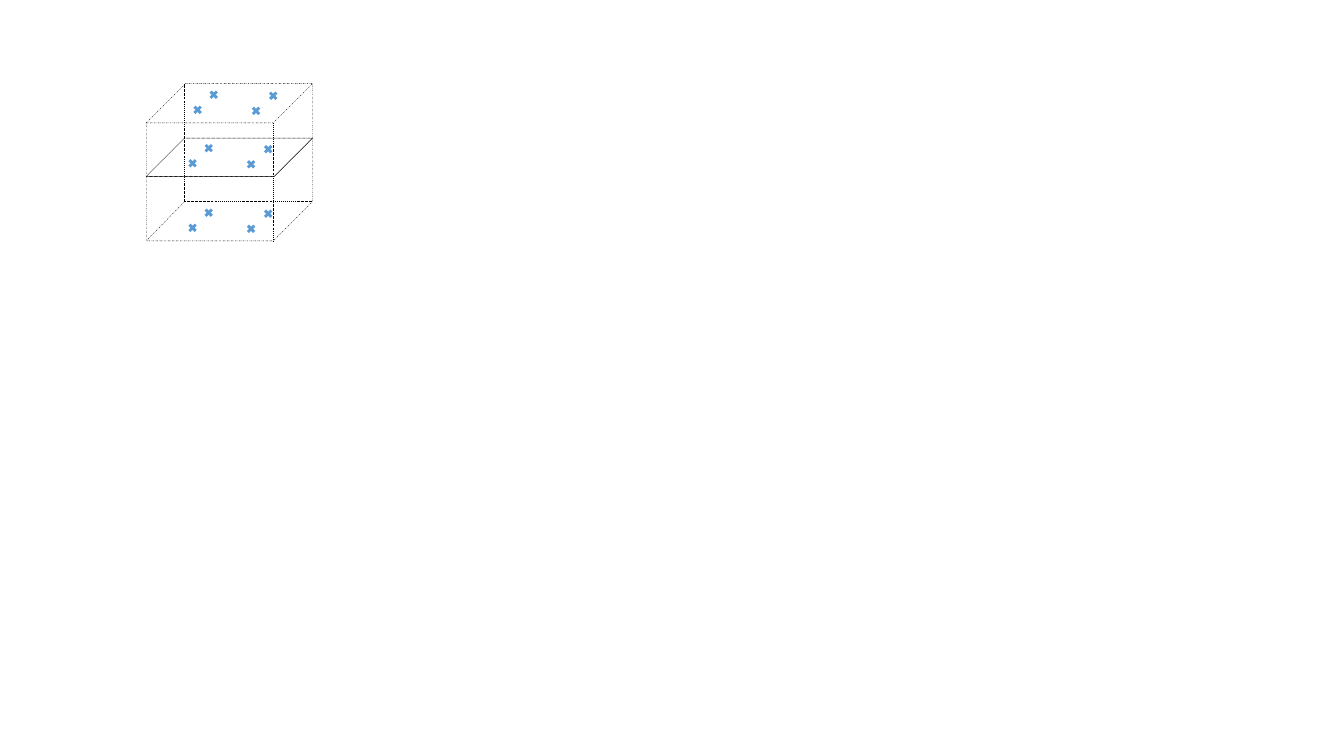
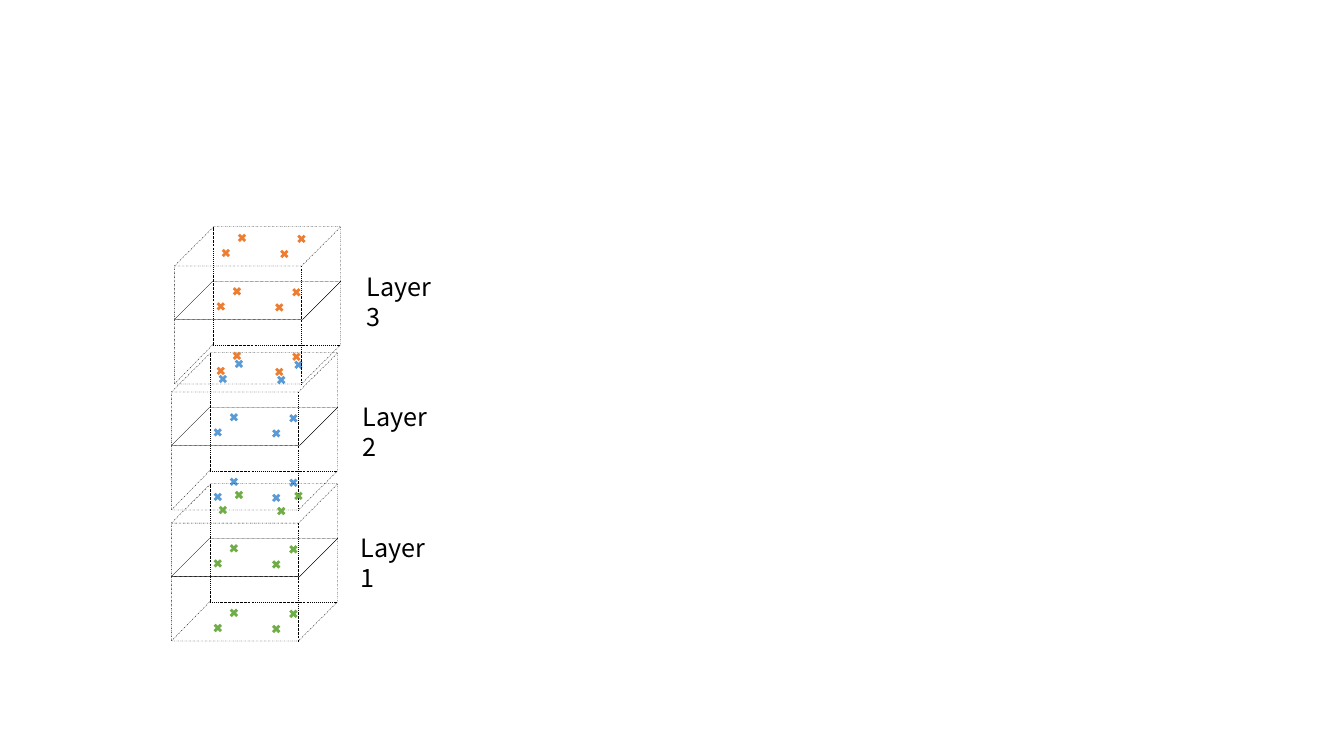
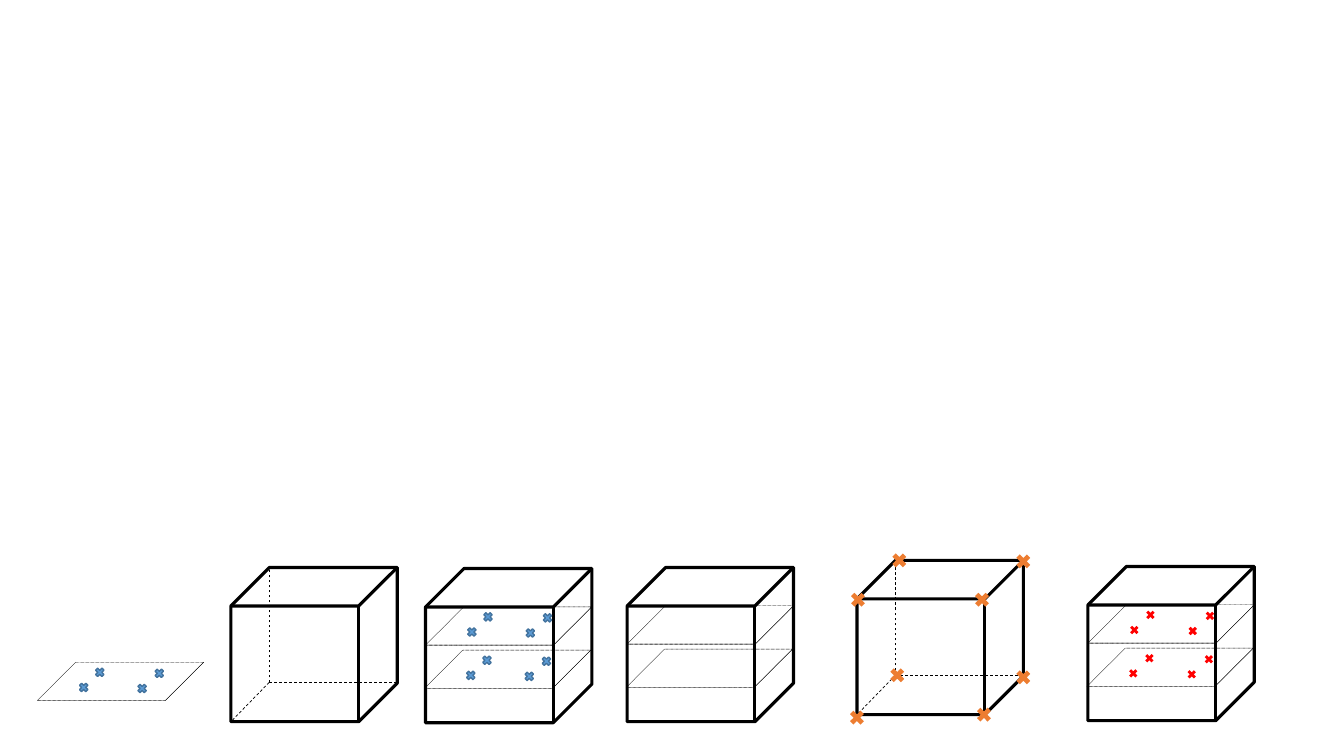
from dataclasses import dataclass

from lxml.etree import SubElement
from pptx import Presentation
from pptx.dml.color import RGBColor
from pptx.enum.dml import MSO_LINE
from pptx.enum.shapes import MSO_CONNECTOR, MSO_SHAPE
from pptx.oxml.ns import qn
from pptx.util import Emu, Pt

EMU_PER_PX = 9144


@dataclass(frozen=True)
class Stroke:
    """Colour, width in points and dash of a line."""
    color: str
    width: float
    dash: MSO_LINE = MSO_LINE.SOLID


@dataclass(frozen=True)
class Theme:
    """Colours, strokes and type shared by the slides."""
    blue: str = "5B9BD5"
    orange: str = "ED7D31"
    green: str = "70AD47"
    red: str = "FF0000"
    ink: str = "000000"
    font: str = "Noto Sans CJK KR"
    label_size: int = 18
    sheet: Stroke = Stroke("000000", 0.25, MSO_LINE.ROUND_DOT)
    layer: Stroke = Stroke("000000", 0.25, MSO_LINE.DASH_DOT)
    box: Stroke = Stroke("000000", 2.25)
    hidden: Stroke = Stroke("000000", 0.5, MSO_LINE.DASH)
    mark: Stroke = Stroke("43739E", 1)


THEME = Theme()
CUBE_W, LAYER_H, BOX_H, DEPTH = 165, 156, 153, 38
MARK, CORNER_MARK = 12, 20
SHEET_MARKS = [(40, 19), (56, 4), (98, 20), (115, 5)]
LAYER_LEVELS = [(0, 54), (5, 1), (0, 118)]
SHELVES = [(0, 38), (-1, 81)]
CORNERS = [(42, 0), (1, 39), (124, 39), (165, 1),
           (165, 116), (126, 153), (0, 156), (40, 114)]


def px(*lengths):
    """Turn pixel lengths into EMU."""
    return [Emu(n * EMU_PER_PX) for n in lengths]


def set_line(line, stroke):
    """Apply a stroke to a line, or hide the line when there is none."""
    if stroke is None:
        line.fill.background()
        return
    line.color.rgb = RGBColor.from_string(stroke.color)
    line.width = Pt(stroke.width)
    line.dash_style = stroke.dash


def add_preset(shapes, kind, box, fill=None, stroke=None):
    """Add a preset shape without shadow."""
    sp = shapes.add_shape(kind, *px(*box))
    sp.shadow.inherit = False
    if fill:
        sp.fill.solid()
        sp.fill.fore_color.rgb = RGBColor.from_string(fill)
    else:
        sp.fill.background()
    set_line(sp.line, stroke)
    return sp


def add_edge(shapes, start, end, stroke):
    """Add a straight line between two points."""
    c = shapes.add_connector(MSO_CONNECTOR.STRAIGHT, *px(*start, *end))
    set_line(c.line, stroke)
    SubElement(c._element.spPr, qn("a:effectLst"))


def add_cube(shapes, x, y, h, stroke):
    """Add an unfilled cube."""
    add_preset(shapes, MSO_SHAPE.CUBE, (x, y, CUBE_W, h), stroke=stroke)


def add_back_edges(shapes, x, y, h, stroke):
    """Add the three edges that meet in the far lower corner."""
    corner = (x + DEPTH, y + h - DEPTH - 1)
    for end in [(x, y + h), (x + DEPTH, y), (x + CUBE_W, corner[1])]:
        add_edge(shapes, corner, end, stroke)


def add_sheet(shapes, x, y):
    """Add a flat slanted sheet."""
    sp = add_preset(shapes, MSO_SHAPE.CUBE, (x, y, CUBE_W, DEPTH),
                    stroke=THEME.sheet)
    sp.adjustments[0] = 1


def add_marks(shapes, x, y, color, stroke=None):
    """Add the four crosses of one sheet."""
    for dx, dy in SHEET_MARKS:
        add_preset(shapes, MSO_SHAPE.MATH_MULTIPLY,
                   (x + dx, y + dy, MARK, MARK), color, stroke)


def add_layer(slide, x, y, color):
    """Add a dashed cube with a middle sheet and three levels of crosses."""
    shapes = slide.shapes.add_group_shape().shapes
    add_sheet(shapes, x, y + LAYER_LEVELS[0][1])
    for dx, dy in LAYER_LEVELS:
        add_marks(shapes, x + dx, y + dy, color)
    add_cube(shapes, x, y, LAYER_H, THEME.layer)
    add_back_edges(shapes, x, y, LAYER_H, THEME.layer)


def add_label(slide, x, y, text):
    """Add a layer label."""
    tf = slide.shapes.add_textbox(*px(x, y, 74, 30)).text_frame
    tf.word_wrap = True
    tf.margin_left = tf.margin_top = tf.margin_right = tf.margin_bottom = 0
    p = tf.paragraphs[0]
    p.text = text
    p.font.name = THEME.font
    p.font.size = Pt(THEME.label_size)
    p.font.color.rgb = RGBColor.from_string(THEME.ink)


def add_marked_sheet(slide, x, y):
    """Add a single sheet with its crosses."""
    shapes = slide.shapes.add_group_shape().shapes
    add_sheet(shapes, x, y)
    add_marks(shapes, x, y, THEME.blue, THEME.mark)


def add_shelf_box(slide, x, y, color=None, stroke=None):
    """Add a solid box with two sheets and, given a colour, their crosses."""
    shapes = slide.shapes.add_group_shape().shapes
    add_cube(shapes, x, y, BOX_H, THEME.box)
    for dx, dy in SHELVES:
        add_sheet(shapes, x + dx, y + dy)
        if color:
            add_marks(shapes, x + dx, y + dy, color, stroke)


def add_open_box(slide, x, y, corner_color=None):
    """Add a box with hidden edges and, given a colour, corner crosses."""
    shapes = slide.shapes.add_group_shape().shapes
    add_cube(shapes, x, y, BOX_H, THEME.box)
    add_back_edges(shapes, x, y, BOX_H, THEME.hidden)
    if corner_color:
        half = CORNER_MARK // 2
        for dx, dy in CORNERS:
            add_preset(shapes, MSO_SHAPE.MATH_MULTIPLY,
                       (x + dx - half, y + dy - half, CORNER_MARK, CORNER_MARK),
                       corner_color)


def main():
    """Build the three slides."""
    prs = Presentation()
    prs.slide_width, prs.slide_height = px(1333, 750)
    single, stack, boxes = [prs.slides.add_slide(prs.slide_layouts[6])
                            for _ in range(3)]

    add_layer(single, 145, 83, THEME.blue)

    for x, y, color in [(170, 350, THEME.blue), (173, 225, THEME.orange),
                        (170, 480, THEME.green)]:
        add_layer(stack, x, y, color)
    for x, y, text in [(358, 528, "Layer1"), (360, 398, "Layer2"),
                       (364, 269, "Layer3")]:
        add_label(stack, x, y, text)

    add_marked_sheet(boxes, 37, 657)
    add_shelf_box(boxes, 422, 564, THEME.blue, THEME.mark)
    add_shelf_box(boxes, 622, 563)
    add_open_box(boxes, 229, 563)
    add_open_box(boxes, 850, 556, THEME.orange)
    add_shelf_box(boxes, 1079, 562, THEME.red)

    prs.save("out.pptx")


if __name__ == "__main__":
    main()
